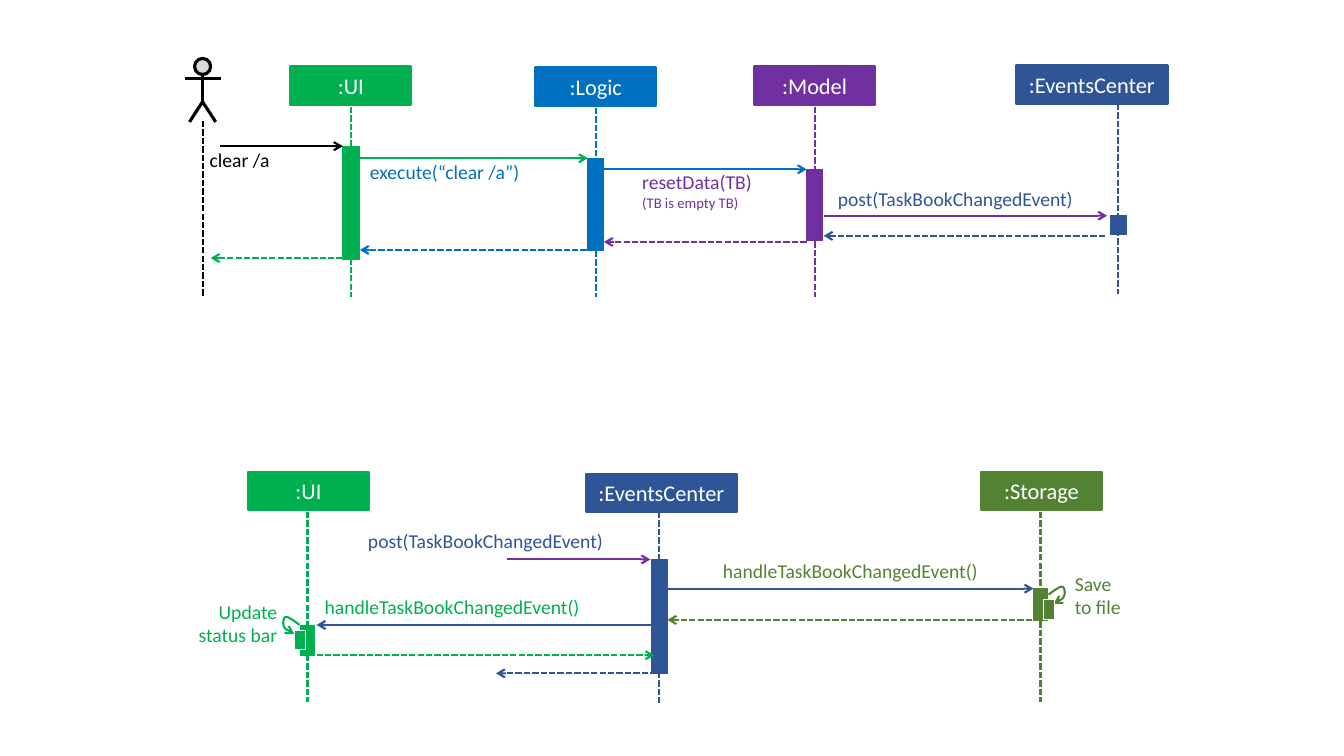
from dataclasses import dataclass
from typing import NamedTuple

from pptx import Presentation
from pptx.dml.color import RGBColor
from pptx.enum.dml import MSO_LINE
from pptx.enum.shapes import MSO_CONNECTOR, MSO_SHAPE
from pptx.enum.text import MSO_ANCHOR, MSO_AUTO_SIZE, PP_ALIGN
from pptx.oxml.ns import qn
from pptx.util import Inches, Pt
from lxml.etree import SubElement


@dataclass(frozen=True)
class Theme:
    ui: RGBColor = RGBColor(0x00, 0xB0, 0x50)
    logic: RGBColor = RGBColor(0x00, 0x70, 0xC0)
    model: RGBColor = RGBColor(0x70, 0x30, 0xA0)
    events: RGBColor = RGBColor(0x2F, 0x55, 0x97)
    storage: RGBColor = RGBColor(0x54, 0x82, 0x35)
    user: RGBColor = RGBColor(0x00, 0x00, 0x00)
    face: RGBColor = RGBColor(0xD9, 0xD9, 0xD9)
    white: RGBColor = RGBColor(0xFF, 0xFF, 0xFF)
    font: str = "Calibri"
    head_size: float = 16
    label_size: float = 14
    note_size: float = 10.5
    line: float = 1.5
    thin: float = 0.5
    figure: float = 2.25


THEME = Theme()
HEAD_HEIGHT = 0.38


class Participant(NamedTuple):
    name: str
    color: RGBColor
    head: tuple[float, float, float]  # left, top, width
    life: tuple[float, float, float]  # x, top, bottom
    bar: tuple[float, float, float]  # top, width, height


class Message(NamedTuple):
    start: float
    end: float
    y: float
    color: RGBColor
    reply: bool = False


class Label(NamedTuple):
    text: str
    color: RGBColor
    box: tuple[float, float, float, float]
    align: PP_ALIGN = PP_ALIGN.LEFT
    note: str = ""


class SelfCall(NamedTuple):
    color: RGBColor
    bar: tuple[float, float]  # left, top
    loop: list[tuple[float, float]]  # Bezier points


def add_box(shapes, kind, box, fill, line, width):
    shape = shapes.add_shape(kind, *map(Inches, box))
    shape.shadow.inherit = False
    shape.fill.solid()
    shape.fill.fore_color.rgb = fill
    shape.line.color.rgb = line
    shape.line.width = Pt(width)
    return shape


def add_arrowhead(line) -> None:
    SubElement(line._get_or_add_ln(), qn("a:tailEnd"), type="arrow")


def add_line(shapes, start, end, color, width=THEME.line, dashed=False, arrow=False):
    connector = shapes.add_connector(MSO_CONNECTOR.STRAIGHT, *map(Inches, (*start, *end)))
    connector.line.color.rgb = color
    connector.line.width = Pt(width)
    if dashed:
        connector.line.dash_style = MSO_LINE.SQUARE_DOT
    if arrow:
        add_arrowhead(connector.line)
    SubElement(connector._element.spPr, qn("a:effectLst"))


def add_outline(shapes, points, color, width, arrow=False):
    first, *rest = [(Inches(x), Inches(y)) for x, y in points]
    builder = shapes.build_freeform(*first)
    builder.add_line_segments(rest, close=False)
    outline = builder.convert_to_shape()
    outline.shadow.inherit = False
    outline.fill.background()
    outline.line.color.rgb = color
    outline.line.width = Pt(width)
    if arrow:
        add_arrowhead(outline.line)


def format_text(paragraph, size: float, color: RGBColor, align: PP_ALIGN) -> None:
    paragraph.alignment = align
    paragraph.font.name = THEME.font
    paragraph.font.size = Pt(size)
    paragraph.font.color.rgb = color


def add_participant(shapes, who: Participant) -> None:
    left, top, width = who.head
    head = add_box(shapes, MSO_SHAPE.RECTANGLE, (left, top, width, HEAD_HEIGHT),
                   who.color, who.color, THEME.line)
    head.text_frame.text = who.name
    head.text_frame.vertical_anchor = MSO_ANCHOR.MIDDLE
    format_text(head.text_frame.paragraphs[0], THEME.head_size, THEME.white, PP_ALIGN.CENTER)
    x, life_top, life_bottom = who.life
    add_line(shapes, (x, life_top), (x, life_bottom), who.color, dashed=True)
    bar_top, bar_width, bar_height = who.bar
    add_box(shapes, MSO_SHAPE.RECTANGLE, (x - bar_width / 2, bar_top, bar_width, bar_height),
            who.color, who.color, THEME.thin)


def add_label(shapes, label: Label) -> None:
    frame = shapes.add_textbox(*map(Inches, label.box)).text_frame
    frame.margin_left = frame.margin_right = frame.margin_top = frame.margin_bottom = 0
    frame.word_wrap = True
    frame.auto_size = MSO_AUTO_SIZE.SHAPE_TO_FIT_TEXT
    frame.text = label.text
    format_text(frame.paragraphs[0], THEME.label_size, label.color, label.align)
    if label.note:
        note = frame.add_paragraph()
        note.text = label.note
        format_text(note, THEME.note_size, label.color, label.align)


def bezier(points, steps: int = 12) -> list[tuple[float, float]]:
    """Sample a chain of cubic curves that share their end points."""
    curve = [points[0]]
    for i in range(0, len(points) - 1, 3):
        for t in (step / steps for step in range(1, steps + 1)):
            weights = ((1 - t) ** 3, 3 * t * (1 - t) ** 2, 3 * t * t * (1 - t), t ** 3)
            curve.append(tuple(sum(w * p[axis] for w, p in zip(weights, points[i:i + 4]))
                               for axis in (0, 1)))
    return curve


def add_self_call(shapes, call: SelfCall) -> None:
    group = shapes.add_group_shape().shapes
    add_outline(group, bezier(call.loop), call.color, THEME.line, arrow=True)
    add_box(group, MSO_SHAPE.RECTANGLE, (*call.bar, 0.11, 0.19), call.color, THEME.white, THEME.thin)


def add_user(shapes, x: float) -> None:
    figure = shapes.add_group_shape().shapes
    add_box(figure, MSO_SHAPE.FLOWCHART_CONNECTOR, (x - 0.08, 0.58, 0.16, 0.16),
            THEME.face, THEME.user, THEME.figure)
    add_line(figure, (x, 0.74), (x, 1.02), THEME.user, THEME.figure)
    add_outline(figure, [(x - 0.13, 1.21), (x, 1.01), (x + 0.13, 1.21)], THEME.user, THEME.figure)
    add_line(figure, (x - 0.18, 0.78), (x + 0.18, 0.78), THEME.user, THEME.figure)
    add_line(shapes, (x, 1.2), (x, 2.95), THEME.user, dashed=True)


T = THEME
PARTICIPANTS = [
    # Clear command
    Participant(":UI", T.ui, (2.88, 0.66, 1.2), (3.48, 1.06, 2.95), (1.45, 0.17, 1.12)),
    Participant(":Logic", T.logic, (5.31, 0.67, 1.2), (5.91, 1.07, 2.95), (1.57, 0.16, 0.91)),
    Participant(":Model", T.model, (7.48, 0.66, 1.2), (8.08, 1.06, 2.95), (1.68, 0.16, 0.71)),
    Participant(":EventsCenter", T.events, (10.08, 0.65, 1.5), (11.09, 1.03, 2.92), (2.14, 0.16, 0.19)),
    # Event handling
    Participant(":UI", T.ui, (2.46, 4.68, 1.2), (3.05, 5.08, 6.96), (6.2, 0.14, 0.3)),
    Participant(":EventsCenter", T.events, (5.81, 4.7, 1.5), (6.54, 5.08, 6.97), (5.55, 0.16, 1.13)),
    Participant(":Storage", T.storage, (9.73, 4.68, 1.2), (10.32, 5.08, 6.96), (5.84, 0.14, 0.31)),
]
MESSAGES = [
    Message(2.18, 3.4, 1.45, T.user), Message(3.57, 5.83, 1.57, T.ui),
    Message(5.99, 8, 1.68, T.logic), Message(8.17, 10.98, 2.14, T.model),
    Message(10.96, 8.17, 2.34, T.events, True), Message(8, 5.99, 2.4, T.model, True),
    Message(5.82, 3.57, 2.48, T.logic, True), Message(3.4, 2.09, 2.56, T.ui, True),
    Message(5.03, 6.45, 5.55, T.model), Message(6.62, 10.25, 5.84, T.events),
    Message(10.32, 6.62, 6.15, T.storage, True), Message(6.49, 3.14, 6.2, T.events),
    Message(3.14, 6.49, 6.5, T.ui, True), Message(6.51, 4.92, 6.68, T.events, True),
]
LABELS = [
    Label("clear /a", T.user, (2.08, 1.47, 1.03, 0.24)),
    Label("execute(“clear /a”)", T.logic, (3.67, 1.59, 1.93, 0.24)),
    Label("resetData(TB)", T.model, (6.37, 1.69, 1.56, 0.41), note="(TB is empty TB)"),
    Label("post(TaskBookChangedEvent)", T.events, (8.31, 1.85, 2.67, 0.24)),
    Label("post(TaskBookChangedEvent)", T.events, (3.65, 5.25, 2.97, 0.24)),
    Label("handleTaskBookChangedEvent()", T.storage, (7.17, 5.54, 2.91, 0.24)),
    Label("handleTaskBookChangedEvent()", T.ui, (3.22, 5.9, 2.91, 0.24)),
    Label("Update status bar", T.ui, (1.88, 5.95, 0.87, 0.47), PP_ALIGN.RIGHT),
    Label("Save\vto file", T.storage, (10.66, 5.67, 0.59, 0.47)),
]
UI_LOOP = [(2.97, 6.2), (2.92, 6.16), (2.86, 6.12), (2.84, 6.12), (2.81, 6.12),
           (2.8, 6.19), (2.82, 6.22), (2.83, 6.25), (2.88, 6.27), (2.92, 6.29)]
STORAGE_LOOP = [(13.37 - x, y - 0.3) for x, y in UI_LOOP]  # mirrored
SELF_CALLS = [SelfCall(T.ui, (2.92, 6.25), UI_LOOP),
              SelfCall(T.storage, (10.35, 5.95), STORAGE_LOOP)]

deck = Presentation()
deck.slide_width, deck.slide_height = Inches(13.33), Inches(7.5)
canvas = deck.slides.add_slide(deck.slide_layouts[6]).shapes

add_user(canvas, 2.01)
for participant in PARTICIPANTS:
    add_participant(canvas, participant)
for msg in MESSAGES:
    add_line(canvas, (msg.start, msg.y), (msg.end, msg.y), msg.color, dashed=msg.reply, arrow=True)
for caption in LABELS:
    add_label(canvas, caption)
for self_call in SELF_CALLS:
    add_self_call(canvas, self_call)

deck.save("out.pptx")
